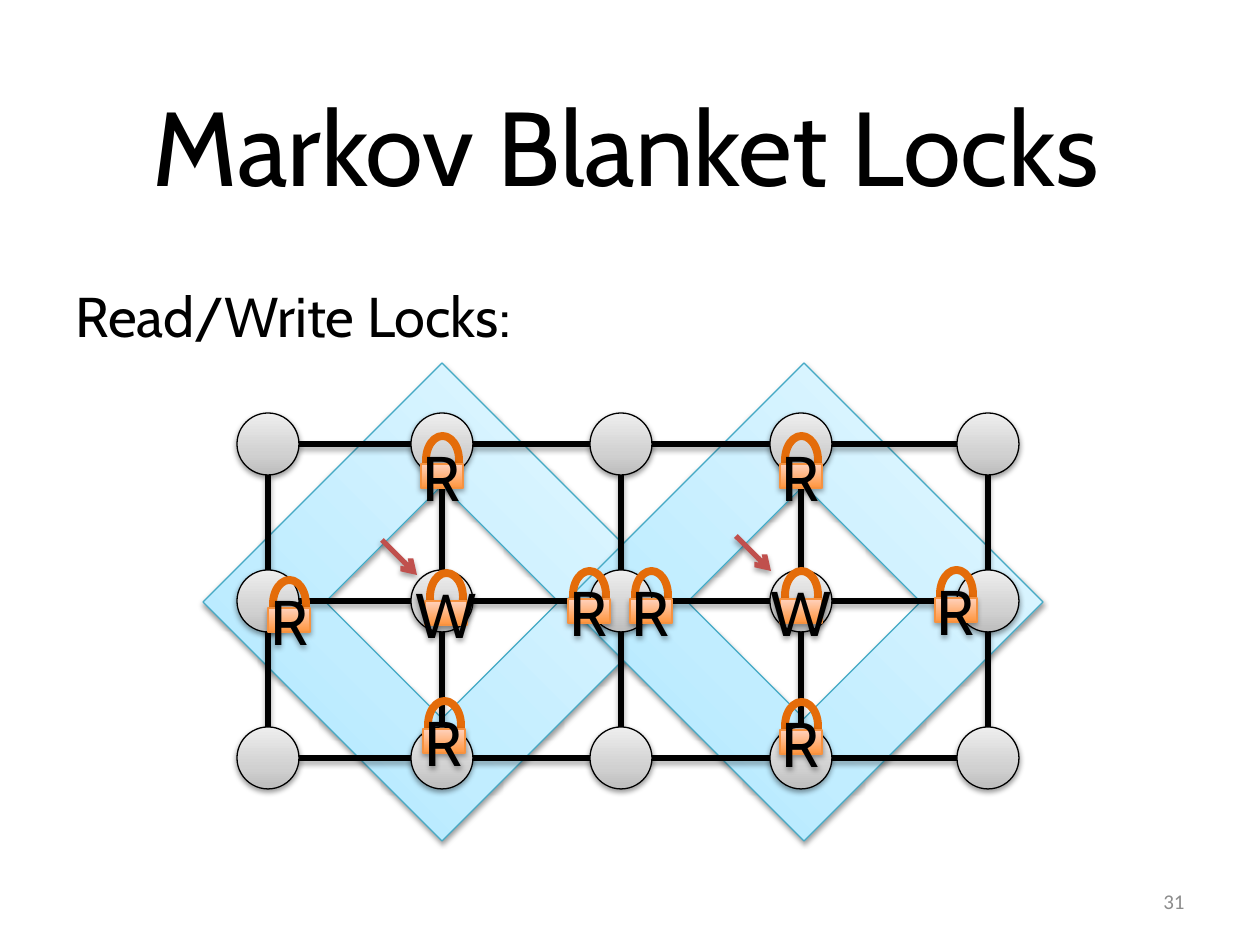
from copy import deepcopy

from lxml import etree
from pptx import Presentation
from pptx import util as u
from pptx.dml.color import RGBColor
from pptx.enum import shapes, text
from pptx.oxml.ns import qn

SCALE = u.Inches(1) / 126
BLACK = "000000"
BLUES = [(0, "A7E6FF"), (0.35, "C1EDFF"), (1, "E7F8FF")]
GREYS = [(0, "BDBDBD"), (0.35, "D1D1D1"), (1, "EEEEEE")]
ORANGES = [(0, "FF953E"), (1, "FFD2BD")]
NODE = 62
COLUMNS = [31, 205, 384, 564, 751]
ROWS = [31, 188, 345]
LOCKS = [
    ("R", 393, 158), ("W", 543, 158), ("R", 543, 289), ("R", 698, 157),
    ("R", 543, 23), ("W", 188, 160), ("R", 331, 158), ("R", 186, 288),
    ("R", 31, 167), ("R", 184, 23),
]


def px(*lengths):
    return [u.Emu(round(length * SCALE)) for length in lengths]


def colour(value):
    return RGBColor.from_string(value)


def apply(target, values):
    for name, value in values.items():
        setattr(target, name, value)


def set_shadow(effects, alpha, distance):
    outer = etree.SubElement(
        effects, qn("a:outerShdw"), blurRad=str(u.Pt(3.1)),
        dist=str(u.Pt(distance)), dir="5400000", rotWithShape="0")
    tint = etree.SubElement(outer, qn("a:srgbClr"), val=BLACK)
    etree.SubElement(tint, qn("a:alpha"), val=str(alpha * 1000))


def set_gradient(shape, stops):
    shape.fill.gradient()
    shape.fill.gradient_angle = 90
    stop_list = shape._element.spPr.find(".//" + qn("a:gsLst"))
    for _ in stops[2:]:
        stop_list.append(deepcopy(stop_list[0]))
    for stop, (position, value) in zip(shape.fill.gradient_stops, stops):
        stop.position = position
        stop.color.rgb = colour(value)


def add_shape(parent, kind, box, line, width=0.75, stops=None, shadow=(38, 1.6)):
    shape = parent.add_shape(kind, *px(*box))
    shape.shadow.inherit = False
    shape.line.color.rgb = colour(line)
    shape.line.width = u.Pt(width)
    if stops:
        set_gradient(shape, stops)
        set_shadow(shape._element.spPr.find(qn("a:effectLst")), *shadow)
    else:
        shape.fill.background()
    return shape


def add_line(parent, start, end, line=BLACK):
    connector = parent.add_connector(
        shapes.MSO_CONNECTOR.STRAIGHT, *px(*start, *end))
    connector.line.color.rgb = colour(line)
    connector.line.width = u.Pt(3)
    set_shadow(etree.SubElement(connector._element.spPr, qn("a:effectLst")), 35, 1.8)
    return connector


def write(shape, words, size, font="Cabin", ink=BLACK, wrap=True,
          anchor=text.MSO_ANCHOR.MIDDLE, **paragraph_format):
    frame = shape.text_frame
    apply(frame, {"word_wrap": wrap, "vertical_anchor": anchor})
    paragraph = frame.paragraphs[0]
    paragraph.text = words
    apply(paragraph, paragraph_format)
    apply(paragraph.font, {"name": font, "size": u.Pt(size)})
    paragraph.font.color.rgb = colour(ink)


def add_text(slide, box, words, size, **options):
    write(slide.shapes.add_textbox(*px(*box)), words, size, **options)


def add_blankets(slide, left, top):
    for offset in (0, 362):
        frame = add_shape(slide.shapes, shapes.MSO_SHAPE.FRAME,
                          (left + offset, top, 338, 338), "46AAC5", stops=BLUES)
        frame.rotation = 45
        frame.adjustments[0] = 0.256


def add_grid(slide, left, top):
    group = slide.shapes.add_group_shape().shapes
    radius = NODE / 2
    columns = [left + column for column in COLUMNS]
    rows = [top + row for row in ROWS]
    for y in rows:
        add_line(group, (columns[0] + radius, y), (columns[-1] - radius, y))
    for x in columns:
        add_line(group, (x, rows[0] + radius), (x, rows[-1] - radius))
    for x in columns:
        for y in rows:
            add_shape(group, shapes.MSO_SHAPE.OVAL,
                      (x - radius, y - radius, NODE, NODE), BLACK, stops=GREYS)


def add_lock(slide, left, top, letter):
    group = slide.shapes.add_group_shape().shapes
    add_shape(group, shapes.MSO_SHAPE.OVAL, (left + 5, top, 33, 48), "E46C0A", 4.5)
    body = add_shape(group, shapes.MSO_SHAPE.RECTANGLE, (left, top + 28, 42, 24),
                     "F69240", stops=ORANGES, shadow=(35, 1.8))
    write(body, letter, 36, wrap=False, alignment=text.PP_ALIGN.CENTER)


def add_pointer(slide, left, top):
    pointer = add_line(slide.shapes, (left, top), (left + 35, top + 35), "C0504D")
    etree.SubElement(pointer.line._get_or_add_ln(), qn("a:tailEnd"), type="arrow")


def add_lock_diagram(slide, left, top):
    add_blankets(slide, left + 36, top + 20)
    add_grid(slide, left, top)
    for x, y in ((499, 123), (145, 127)):
        add_pointer(slide, left + x, top + y)
    for letter, x, y in LOCKS:
        add_lock(slide, left + x, top + y, letter)


def main():
    presentation = Presentation()
    presentation.slide_width, presentation.slide_height = px(1260, 945)
    slide = presentation.slides.add_slide(presentation.slide_layouts[6])
    add_text(slide, (0, 53, 1275, 158), "Markov Blanket Locks ", 60,
             alignment=text.PP_ALIGN.CENTER, line_spacing=1.2)
    add_text(slide, (63, 275, 1134, 670), "Read/Write Locks:", 32,
             anchor=text.MSO_ANCHOR.TOP)
    add_text(slide, (903, 876, 294, 50), "31", 12, font="Calibri", ink="8C8C8C",
             alignment=text.PP_ALIGN.RIGHT)
    add_lock_diagram(slide, 237, 413)
    presentation.save("out.pptx")


if __name__ == "__main__":
    main()
